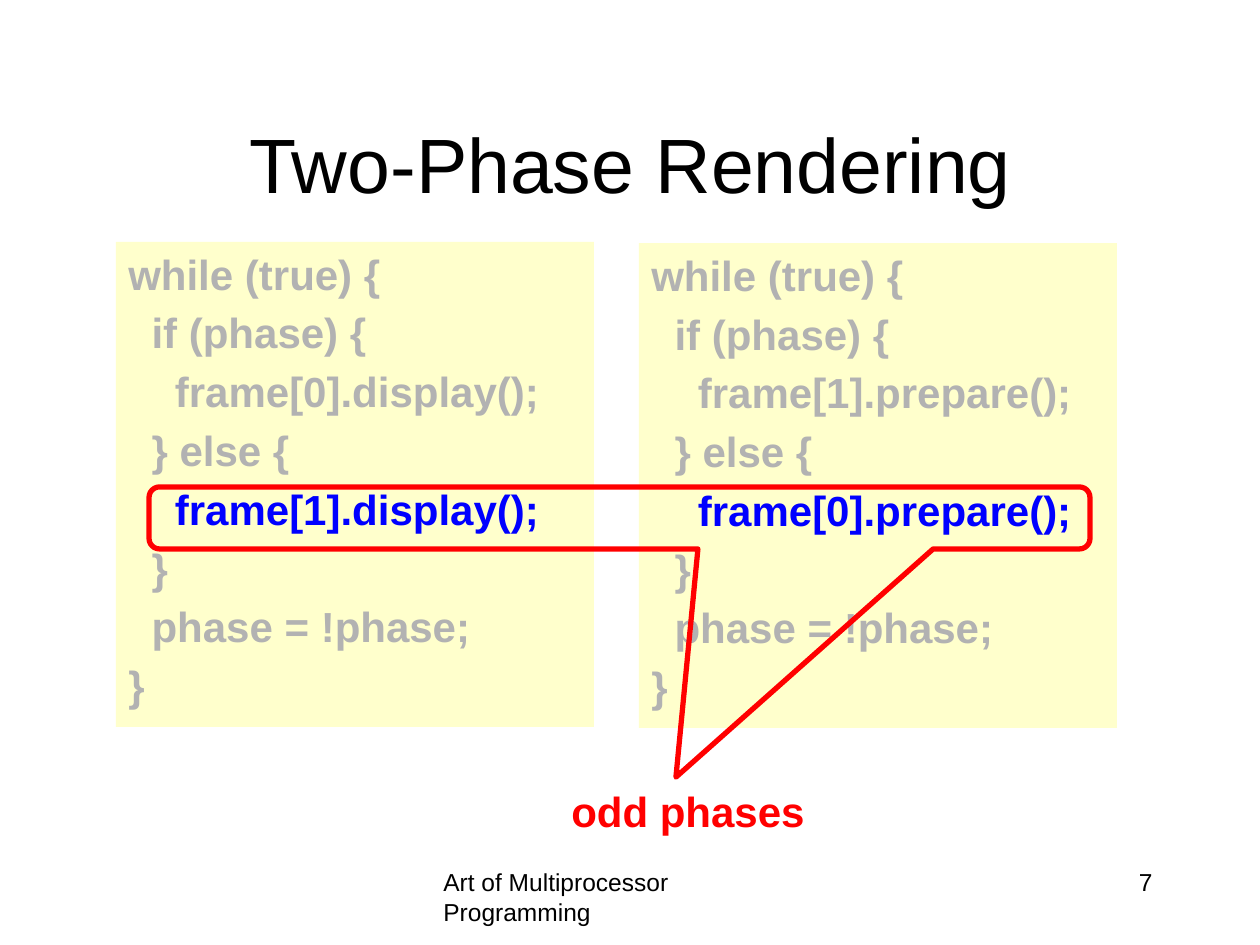
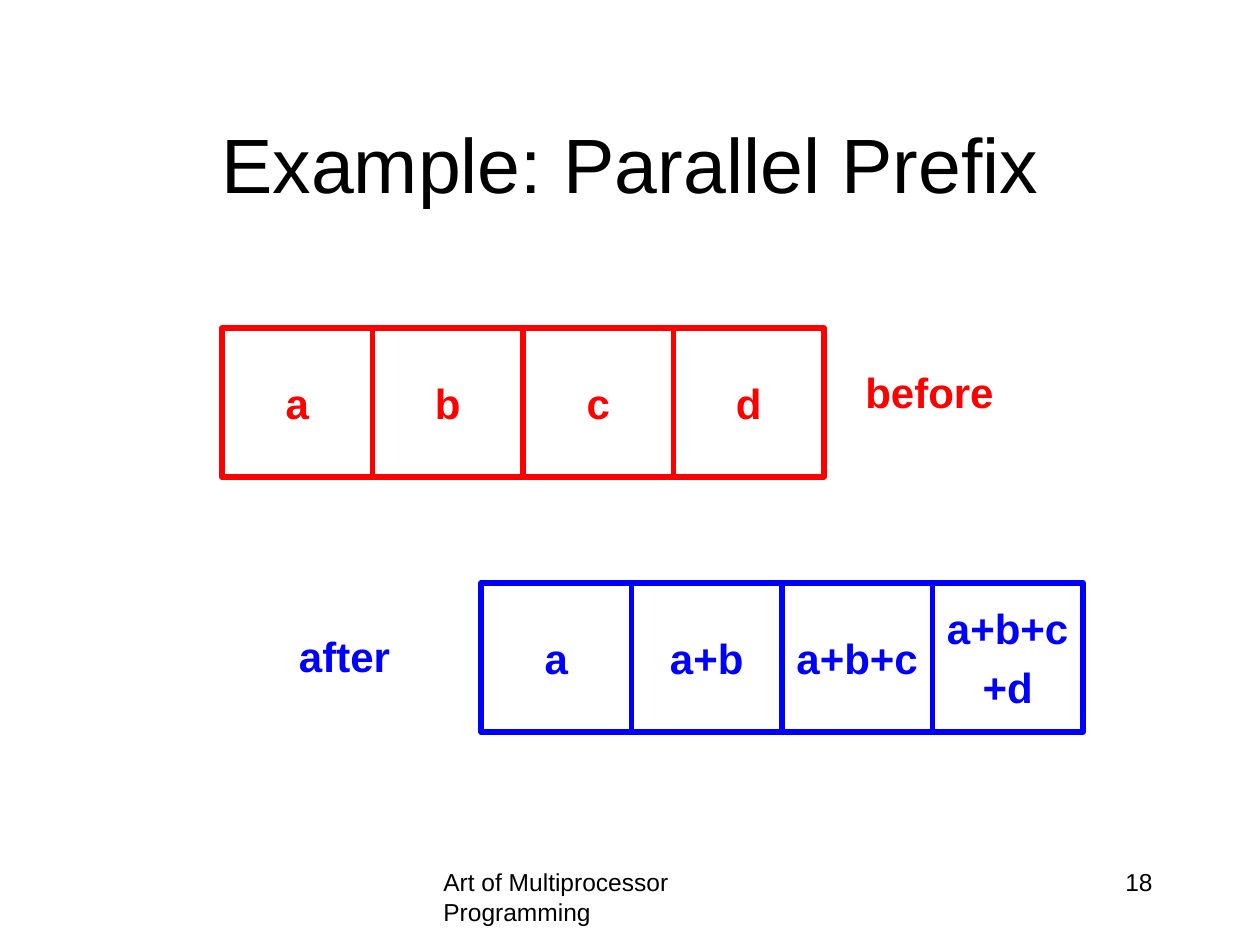
from pptx import Presentation
from pptx.dml.color import RGBColor
from pptx.enum.shapes import MSO_SHAPE as Shape
from pptx.enum.text import MSO_ANCHOR as Anchor, PP_ALIGN as Align
from pptx.util import Emu, Pt

PX = 914400 / 126
FONT = "Arial"
BLACK, GREY, RED, BLUE, CREAM = "000000", "B2B2B2", "FF0000", "0000FF", "FFFFCC"
TITLE_SIZE, BODY_SIZE, FOOTER_SIZE = 44, 24, 14
LINE_WIDTH = 3

FOOTER = "Art of Multiprocessor Programming"
TITLE_BOX = (95, 84, 1071, 158)
FOOTER_BOX = (431, 861, 399, 63)
NUMBER_BOX = (903, 861, 262, 63)

# Each code box: position, action in even phases, action in odd phases
CODE_BOXES = [
    ((116, 242, 478, 485), "frame[0].display();", "frame[1].display();"),
    ((639, 243, 478, 485), "frame[1].prepare();", "frame[0].prepare();"),
]
CALLOUT_BOX = (149, 487, 941, 62)
CALLOUT_ADJUSTMENTS = (0.06, 4.18, 0.17)
PHASE_LABEL = ("odd phases", (532, 779, 312, 63))

ROW_WIDTH, CELL_HEIGHT = 602, 149
ARRAYS = [
    {"left": 222, "top": 328, "color": RED, "cells": ["a", "b", "c", "d"],
     "label": "before", "label_box": (849, 360, 161, 63)},
    {"left": 481, "top": 583, "color": BLUE,
     "cells": ["a", "a+b", "a+b+c", "a+b+c\n+d"],
     "label": "after", "label_box": (286, 624, 117, 63)},
]


def rgb(hex_color):
    return RGBColor.from_string(hex_color)


def emu(box):
    return [Emu(round(length * PX)) for length in box]


def write(shape, lines, size=BODY_SIZE, bold=True, align=Align.LEFT,
          anchor=Anchor.TOP, wrap=True):
    """Fill a shape with (text, colour) lines, one paragraph each."""
    frame = shape.text_frame
    frame.word_wrap = wrap
    frame.vertical_anchor = anchor
    for index, (text, color) in enumerate(lines):
        paragraph = frame.add_paragraph() if index else frame.paragraphs[0]
        paragraph.alignment = align
        if index:
            paragraph.space_before = Pt(size * 0.2)
        run = paragraph.add_run()
        run.text = text
        run.font.name = FONT
        run.font.size = Pt(size)
        run.font.bold = bold
        run.font.color.rgb = rgb(color)


def add_text(slide, box, text, color=BLACK, **style):
    write(slide.shapes.add_textbox(*emu(box)), [(text, color)], **style)


def add_box(slide, kind, box, fill=None, line=None):
    shape = slide.shapes.add_shape(kind, *emu(box))
    shape.shadow.inherit = False
    if fill:
        shape.fill.solid()
        shape.fill.fore_color.rgb = rgb(fill)
    else:
        shape.fill.background()
    if line:
        shape.line.color.rgb = rgb(line)
        shape.line.width = Pt(LINE_WIDTH)
    else:
        shape.line.fill.background()
    return shape


def add_slide(presentation, title, number):
    slide = presentation.slides.add_slide(presentation.slide_layouts[6])
    add_text(slide, FOOTER_BOX, FOOTER, size=FOOTER_SIZE, bold=False)
    add_text(slide, NUMBER_BOX, str(number), size=FOOTER_SIZE, bold=False,
             align=Align.RIGHT)
    add_text(slide, TITLE_BOX, title, size=TITLE_SIZE, bold=False,
             align=Align.CENTER, anchor=Anchor.MIDDLE)
    return slide


def add_rendering_slide(presentation):
    slide = add_slide(presentation, "Two-Phase Rendering", 7)
    for box, even_action, odd_action in CODE_BOXES:
        code = [
            ("while (true) {", GREY),
            ("  if (phase) {", GREY),
            ("    " + even_action, GREY),
            ("  } else {", GREY),
            ("    " + odd_action, BLUE),
            ("  }", GREY),
            ("  phase = !phase;", GREY),
            ("}", GREY),
        ]
        write(add_box(slide, Shape.RECTANGLE, box, fill=CREAM), code)
    callout = add_box(slide, Shape.ROUNDED_RECTANGULAR_CALLOUT, CALLOUT_BOX, line=RED)
    for index, value in enumerate(CALLOUT_ADJUSTMENTS):
        callout.adjustments[index] = value
    label, box = PHASE_LABEL
    add_text(slide, box, label, RED, align=Align.CENTER)


def add_prefix_slide(presentation):
    slide = add_slide(presentation, "Example: Parallel Prefix", 18)
    for array in ARRAYS:
        color, cells = array["color"], array["cells"]
        cell_width = ROW_WIDTH / len(cells)
        for index, text in enumerate(cells):
            box = (array["left"] + index * cell_width, array["top"],
                   cell_width, CELL_HEIGHT)
            cell = add_box(slide, Shape.RECTANGLE, box, line=color)
            write(cell, [(part, color) for part in text.split("\n")],
                  align=Align.CENTER, anchor=Anchor.MIDDLE, wrap=False)
        add_text(slide, array["label_box"], array["label"], color,
                 align=Align.CENTER, wrap=False)


def main():
    presentation = Presentation()
    presentation.slide_width, presentation.slide_height = emu((1260, 945))
    add_rendering_slide(presentation)
    add_prefix_slide(presentation)
    presentation.save("out.pptx")


if __name__ == "__main__":
    main()
